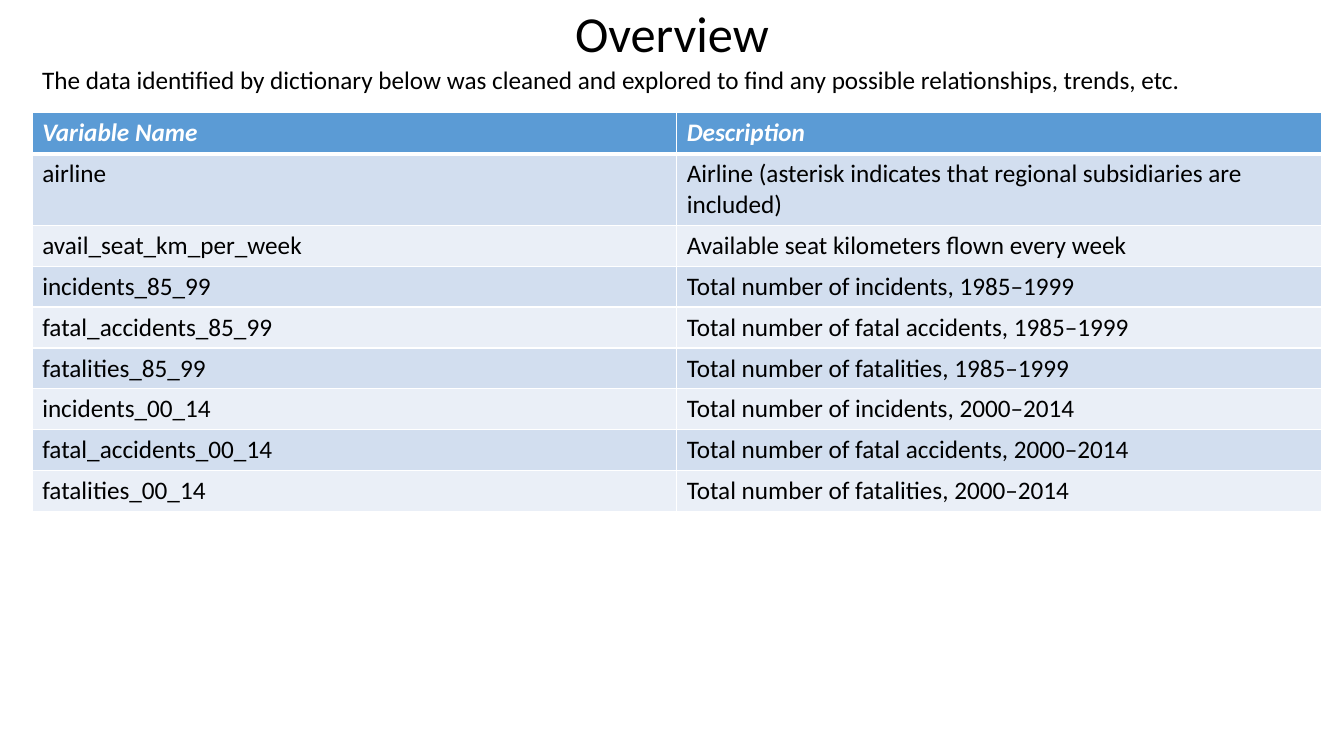
from dataclasses import dataclass

from lxml.etree import SubElement
from pptx import Presentation
from pptx.dml.color import RGBColor
from pptx.enum.text import MSO_AUTO_SIZE as AutoSize, PP_ALIGN as Align
from pptx.oxml.ns import qn
from pptx.slide import Slide
from pptx.table import _Cell as Cell
from pptx.util import Pt

COLORS = {
    "text": "000000",
    "header_text": "FFFFFF",
    "header": "5B9BD5",
    "odd_row": "D2DEEF",
    "even_row": "EAEFF7",
    "border": "FFFFFF",
}
FONT = "Calibri"
SLIDE_WIDTH, SLIDE_HEIGHT = 960, 540
MARGIN_LEFT, CONTENT_WIDTH = 23, 920.8
TABLE_TOP, ROW_HEIGHT = 80.6, 29.2
BODY_SIZE = 18
THIN, THICK = 1, 3


@dataclass
class TextLine:
    text: str
    left: float
    top: float
    width: float
    height: float
    size: float
    align: Align = Align.LEFT


@dataclass
class Variable:
    name: str
    description: str


TEXT_LINES = [
    TextLine("The data identified by dictionary below was cleaned and explored to find any "
             "possible relationships, trends, etc.",
             MARGIN_LEFT, 42.5, CONTENT_WIDTH, 29, BODY_SIZE),
    TextLine("Overview", 0, -2, SLIDE_WIDTH, 51, 36, Align.CENTER),
]

HEADER = Variable("Variable Name", "Description")
VARIABLES = [
    Variable("airline", "Airline (asterisk indicates that regional subsidiaries are included)"),
    Variable("avail_seat_km_per_week", "Available seat kilometers flown every week"),
    Variable("incidents_85_99", "Total number of incidents, 1985–1999"),
    Variable("fatal_accidents_85_99", "Total number of fatal accidents, 1985–1999"),
    Variable("fatalities_85_99", "Total number of fatalities, 1985–1999"),
    Variable("incidents_00_14", "Total number of incidents, 2000–2014"),
    Variable("fatal_accidents_00_14", "Total number of fatal accidents, 2000–2014"),
    Variable("fatalities_00_14", "Total number of fatalities, 2000–2014"),
]


def color(name: str) -> RGBColor:
    return RGBColor.from_string(COLORS[name])


def style_font(font, size: float, color_name: str) -> None:
    font.name = FONT
    font.size = Pt(size)
    font.color.rgb = color(color_name)


def add_text_line(slide: Slide, line: TextLine) -> None:
    box = slide.shapes.add_textbox(Pt(line.left), Pt(line.top), Pt(line.width), Pt(line.height))
    frame = box.text_frame
    frame.word_wrap = True
    frame.auto_size = AutoSize.SHAPE_TO_FIT_TEXT
    paragraph = frame.paragraphs[0]
    paragraph.text = line.text
    paragraph.alignment = line.align
    style_font(paragraph.font, line.size, "text")


def set_borders(cell: Cell, top: float, bottom: float) -> None:
    properties = cell._tc.get_or_add_tcPr()
    for side, width in {"L": THIN, "R": THIN, "T": top, "B": bottom}.items():
        border = SubElement(properties, qn(f"a:ln{side}"), w=str(Pt(width)))
        fill = SubElement(border, qn("a:solidFill"))
        SubElement(fill, qn("a:srgbClr"), val=COLORS["border"])


def fill_cell(cell: Cell, text: str, row: int) -> None:
    is_header = row == 0
    # Borders precede the fill in the cell properties
    set_borders(cell, THICK if row == 1 else THIN, THICK if is_header else THIN)
    cell.fill.solid()
    cell.fill.fore_color.rgb = color(
        "header" if is_header else "odd_row" if row % 2 else "even_row")
    paragraph = cell.text_frame.paragraphs[0]
    paragraph.text = text
    style_font(paragraph.font, BODY_SIZE, "header_text" if is_header else "text")
    paragraph.font.bold = paragraph.font.italic = is_header


def add_dictionary(slide: Slide, variables: list[Variable]) -> None:
    rows = [HEADER, *variables]
    table = slide.shapes.add_table(
        len(rows), 2, Pt(MARGIN_LEFT), Pt(TABLE_TOP),
        Pt(CONTENT_WIDTH), Pt(ROW_HEIGHT * len(rows))).table
    for row, variable in enumerate(rows):
        for column, text in enumerate((variable.name, variable.description)):
            fill_cell(table.cell(row, column), text, row)


def main() -> None:
    presentation = Presentation()
    presentation.slide_width, presentation.slide_height = Pt(SLIDE_WIDTH), Pt(SLIDE_HEIGHT)
    slide = presentation.slides.add_slide(presentation.slide_layouts[6])

    # Data dictionary
    add_dictionary(slide, VARIABLES)

    # Introduction and title
    for line in TEXT_LINES:
        add_text_line(slide, line)

    presentation.save("out.pptx")


if __name__ == "__main__":
    main()
